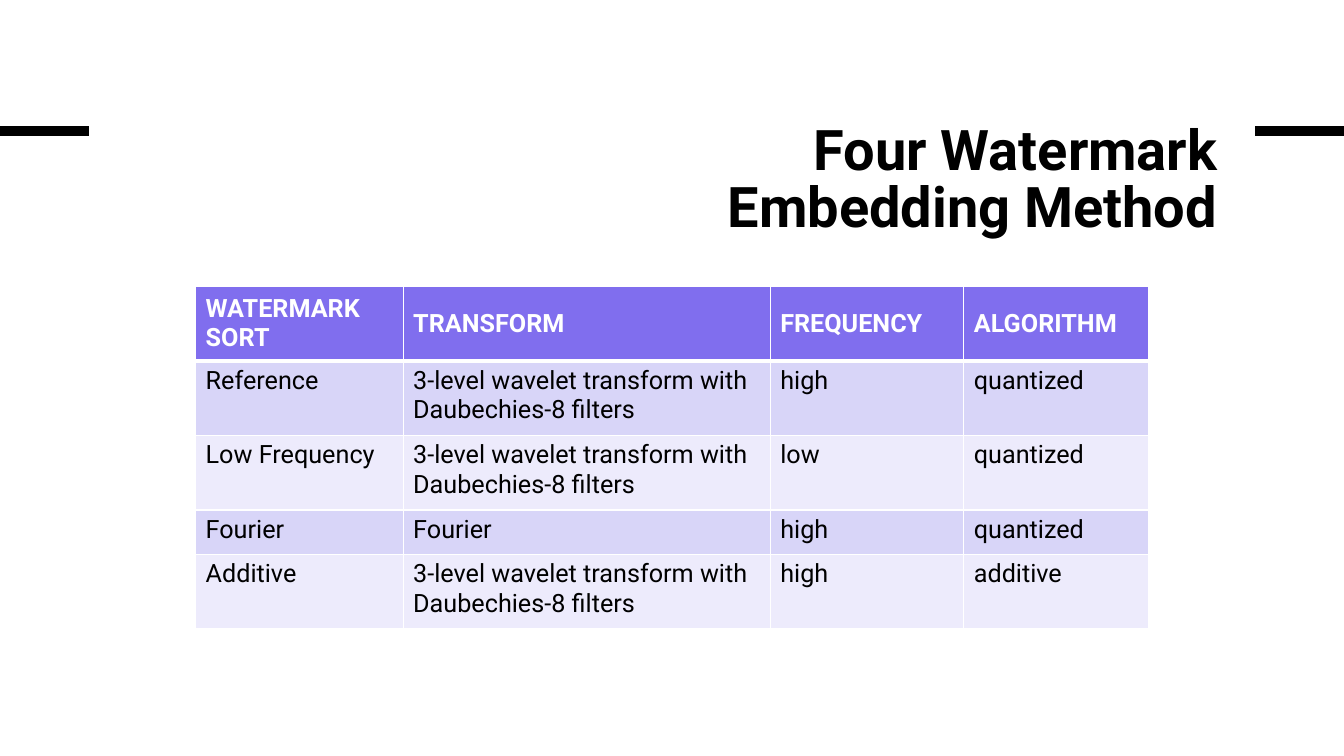
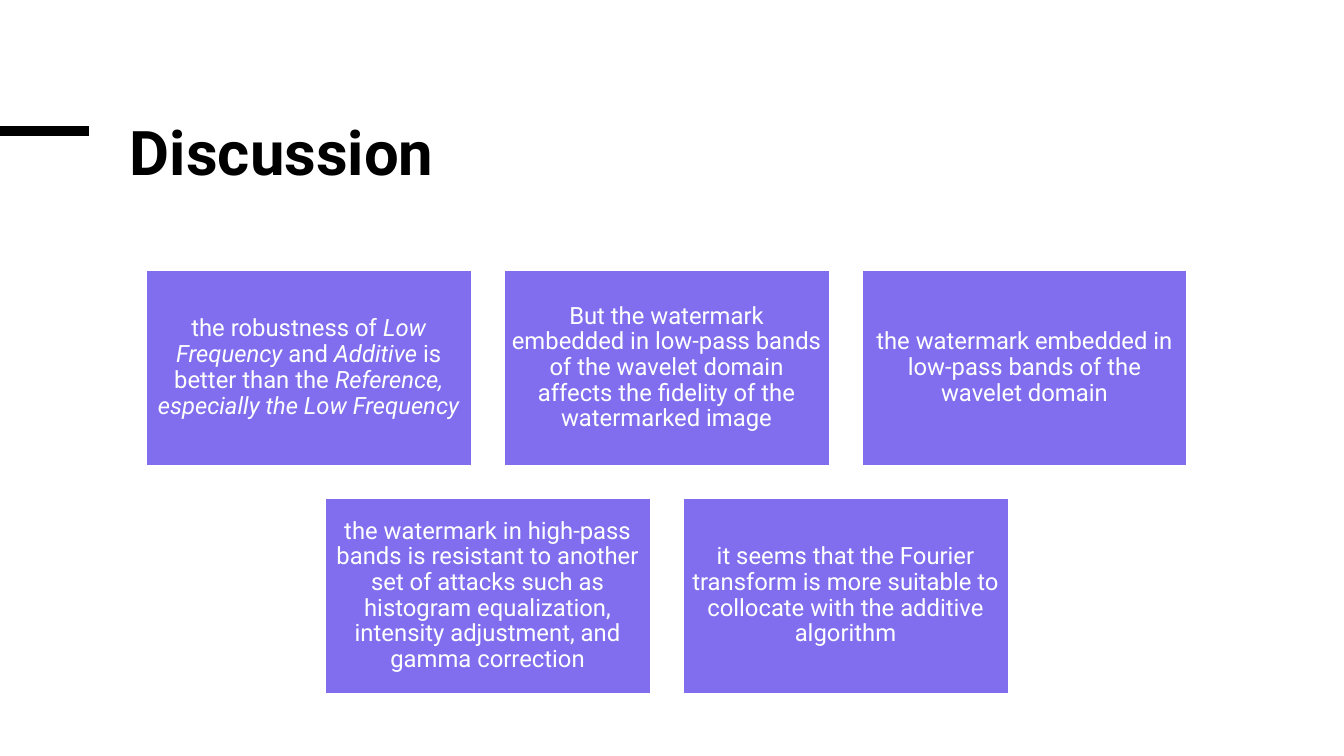
import pptx
import pptx.util
import pptx.dml.color
import pptx.enum.shapes
import pptx.enum.text
import pptx.oxml
import pptx.oxml.ns

Cm = pptx.util.Cm
Pt = pptx.util.Pt
RGBColor = pptx.dml.color.RGBColor
Align = pptx.enum.text.PP_ALIGN
Anchor = pptx.enum.text.MSO_ANCHOR

# Shared look
BLACK = RGBColor(0x00, 0x00, 0x00)
WHITE = RGBColor(0xFF, 0xFF, 0xFF)
VIOLET = RGBColor(0x80, 0x6E, 0xEE)
BANDS = (RGBColor(0xD8, 0xD5, 0xF8), RGBColor(0xED, 0xEB, 0xFC))
FONT = "Roboto"
WIDE, HIGH = 33.87, 19.05
RULE_TOP, RULE_WIDE = 3.3, 2.24

# Table content
COLS = (5.23, 9.25, 4.88, 4.65)
TALL, SHORT = 1.88, 1.12
WAVELET = "3-level wavelet transform with Daubechies-8 filters"
ROWS = (
    (TALL, ("WATERMARK SORT", "TRANSFORM", "FREQUENCY", "ALGORITHM")),
    (TALL, ("Reference", WAVELET, "high", "quantized")),
    (TALL, ("Low Frequency", WAVELET, "low", "quantized")),
    (SHORT, ("Fourier", "Fourier", "high", "quantized")),
    (TALL, ("Additive", WAVELET, "high", "additive")),
)

# Card content: rows of cards, each a list of runs that alternate
# between upright and italic
CARDS = (
    (
        ("the robustness of ", "Low Frequency", " and ", "Additive",
         " is better than the ",
         "Reference, especially the Low Frequency"),
        ("But the watermark embedded in low-pass bands of the wavelet "
         "domain affects the fidelity of the watermarked image",),
        ("the watermark embedded in low-pass bands of the wavelet domain",),
    ),
    (
        ("the watermark in high-pass bands is resistant to another set of "
         "attacks such as histogram equalization, intensity adjustment, "
         "and gamma correction",),
        ("it seems that the Fourier transform is more suitable to "
         "collocate with the additive algorithm",),
    ),
)


def add_run(para, text, size, color, bold=False, slant=False):
    run = para.add_run()
    run.text = text
    font = run.font
    font.name, font.size = FONT, Pt(size)
    font.bold, font.italic = bold, slant
    font.color.rgb = color


def add_rule(slide, left):
    """Draw a thick black rule at title height."""
    rule = slide.shapes.add_connector(
        pptx.enum.shapes.MSO_CONNECTOR.STRAIGHT,
        Cm(left), Cm(RULE_TOP), Cm(left + RULE_WIDE), Cm(RULE_TOP))
    rule.line.color.rgb = BLACK
    rule.line.width = Pt(6.75)
    props = rule._element.spPr
    props.append(props.makeelement(pptx.oxml.ns.qn("a:effectLst"), {}))


def add_slide(deck, text, box, size, align):
    """Start a slide with the left rule and a formatted title."""
    slide = deck.slides.add_slide(deck.slide_layouts[5])
    add_rule(slide, 0)
    title = slide.shapes.title
    title.left, title.top, title.width, title.height = map(Cm, box)
    frame = title.text_frame
    frame.word_wrap = True
    frame.auto_size = pptx.enum.text.MSO_AUTO_SIZE.NONE
    frame.vertical_anchor = Anchor.TOP
    para = frame.paragraphs[0]
    para.alignment, para.line_spacing = align, 0.85
    add_run(para, text, size, BLACK, bold=True)
    return slide


def set_edges(cell, top, base):
    """Give a cell white borders; top and base are widths in points."""
    props = cell._tc.get_or_add_tcPr()
    for side, width in (("L", 1), ("R", 1), ("T", top), ("B", base)):
        props.append(pptx.oxml.parse_xml(
            f'<a:ln{side} {pptx.oxml.ns.nsdecls("a")} w="{Pt(width)}">'
            f'<a:solidFill><a:srgbClr val="{WHITE}"/></a:solidFill>'
            f'</a:ln{side}>'))


def add_grid(slide, left, top):
    """Place the table of methods with its top left corner as given."""
    wide, high = sum(COLS), sum(size for size, _ in ROWS)
    grid = slide.shapes.add_table(
        len(ROWS), len(COLS), Cm(left), Cm(top), Cm(wide), Cm(high)).table
    for col, width in zip(grid.columns, COLS):
        col.width = Cm(width)
    for r, (size, texts) in enumerate(ROWS):
        grid.rows[r].height = Cm(size)
        head = r == 0
        for c, text in enumerate(texts):
            cell = grid.cell(r, c)
            set_edges(cell, 3 if r == 1 else 1, 3 if head else 1)
            cell.fill.solid()
            cell.fill.fore_color.rgb = VIOLET if head else BANDS[(r - 1) % 2]
            cell.vertical_anchor = Anchor.MIDDLE if head else Anchor.TOP
            add_run(cell.text_frame.paragraphs[0], text, 18,
                    WHITE if head else BLACK, bold=head)


def add_card(slide, left, top, wide, high, runs):
    card = slide.shapes.add_shape(
        pptx.enum.shapes.MSO_SHAPE.RECTANGLE,
        Cm(left), Cm(top), Cm(wide), Cm(high))
    card.shadow.inherit = False
    card.fill.solid()
    card.fill.fore_color.rgb = VIOLET
    card.line.color.rgb = WHITE
    card.line.width = Pt(1)
    frame = card.text_frame
    frame.word_wrap = True
    frame.vertical_anchor = Anchor.MIDDLE
    frame.margin_left = frame.margin_right = Cm(0.18)
    frame.margin_top = frame.margin_bottom = Cm(0.18)
    para = frame.paragraphs[0]
    para.alignment, para.line_spacing = Align.CENTER, 0.9
    for i, text in enumerate(runs):
        add_run(para, text, 17, WHITE, slant=i % 2 == 1)


def add_cards(slide, left, top, wide, high, gap):
    """Fill the box with rows of equal cards, each row centred."""
    most = max(map(len, CARDS))
    card_w = (wide - gap * (most - 1)) / most
    card_h = (high - gap * (len(CARDS) - 1)) / len(CARDS)
    for r, row in enumerate(CARDS):
        inset = (most - len(row)) * (card_w + gap) / 2
        for c, runs in enumerate(row):
            add_card(slide, left + inset + c * (card_w + gap),
                     top + r * (card_h + gap), card_w, card_h, runs)


def add_methods(deck):
    slide = add_slide(deck, "Four Watermark Embedding Method",
                      (13.2, 3.02, 17.73, 4.34), 40, Align.RIGHT)
    add_rule(slide, WIDE - RULE_WIDE)
    add_grid(slide, 4.93, 7.21)


def add_talk(deck):
    slide = add_slide(deck, "Discussion",
                      (3.02, 3.02, 27.56, 3.61), 44, Align.LEFT)
    add_cards(slide, 3.68, 6.81, 26.24, 10.66, 0.82)


def main():
    deck = pptx.Presentation()
    deck.slide_width, deck.slide_height = Cm(WIDE), Cm(HIGH)
    add_methods(deck)
    add_talk(deck)
    deck.save("out.pptx")


if __name__ == "__main__":
    main()
